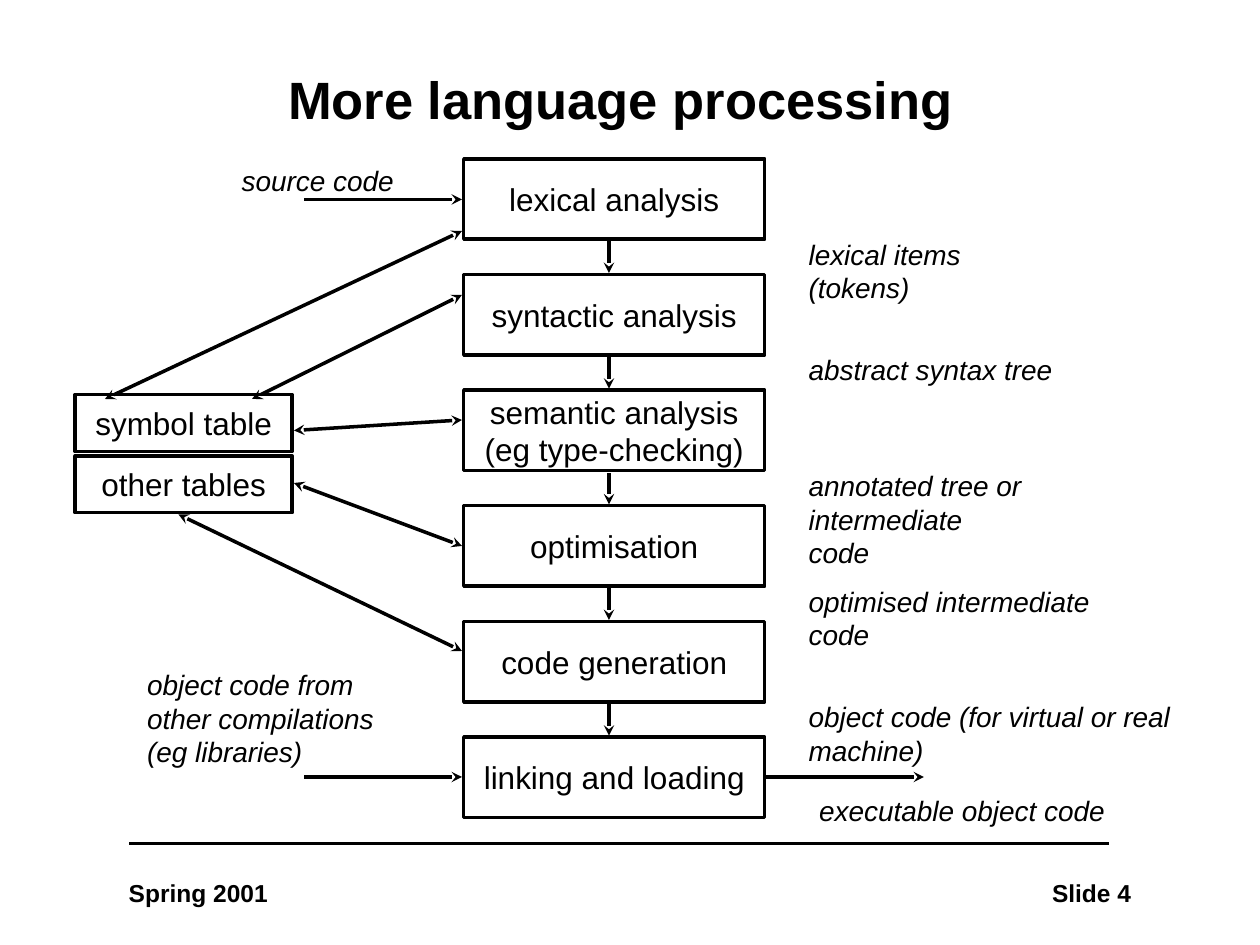
import dataclasses

import pptx
import pptx.dml.color
import pptx.enum.shapes
import pptx.enum.text
import pptx.oxml.ns
import pptx.util
from lxml import etree

Pt = pptx.util.Pt
ALIGN = pptx.enum.text.PP_ALIGN
ANCHOR = pptx.enum.text.MSO_ANCHOR
qn = pptx.oxml.ns.qn


@dataclasses.dataclass(frozen=True)
class Theme:
    face: str = "Arial"
    ink: str = "000000"
    paper: str = "FFFFFF"
    stroke: float = 2
    title: float = 30
    box: float = 18
    note: float = 16
    foot: float = 14


def apply(target, values):
    for name, value in values.items():
        setattr(target, name, value)


class Page:
    def __init__(self, slide, theme):
        self.slide = slide
        self.theme = theme
        self.ink = pptx.dml.color.RGBColor.from_string(theme.ink)
        self.paper = pptx.dml.color.RGBColor.from_string(theme.paper)

    def label(self, shape, text, size, frame=None, para=None, font=None):
        """Fill a shape with text, one paragraph for each line."""
        body = shape.text_frame
        body.text = text
        apply(body, {"word_wrap": False, **(frame or {})})
        for item in body.paragraphs:
            apply(item, para or {})
            apply(item.font, {"name": self.theme.face, "size": Pt(size), **(font or {})})
            item.font.color.rgb = self.ink

    def text(self, text, place, size, **style):
        shape = self.slide.shapes.add_textbox(*map(Pt, place))
        self.label(shape, text, size, **style)

    def note(self, text, left, top, width):
        high = 7.2 + 19.2 * len(text.split("\n"))
        self.text(text, (left, top, width, high), self.theme.note, font={"italic": True})

    def box(self, text, *place):
        kind = pptx.enum.shapes.MSO_SHAPE.RECTANGLE
        shape = self.slide.shapes.add_shape(kind, *map(Pt, place))
        shape.shadow.inherit = False
        shape.fill.solid()
        shape.fill.fore_color.rgb = self.paper
        shape.line.color.rgb = self.ink
        shape.line.width = Pt(self.theme.stroke)
        self.label(shape, text, self.theme.box,
                   frame={"vertical_anchor": ANCHOR.MIDDLE},
                   para={"alignment": ALIGN.CENTER})

    def line(self, *ends, tips=()):
        """Draw a line; tips names its arrowheads, headEnd before tailEnd."""
        kind = pptx.enum.shapes.MSO_CONNECTOR.STRAIGHT
        wire = self.slide.shapes.add_connector(kind, *map(Pt, ends))
        wire.line.color.rgb = self.ink
        wire.line.width = Pt(self.theme.stroke)
        props = wire._element.spPr
        for tip in tips:
            etree.SubElement(props.find(qn("a:ln")), qn("a:" + tip), type="stealth")
        etree.SubElement(props, qn("a:effectLst"))


STEPS = ["lexical analysis", "syntactic analysis",
         "semantic analysis\n(eg type-checking)", "optimisation",
         "code generation", "linking and loading"]
# What passes from each step to the next, with its width
RESULTS = [("lexical items (tokens)", 163), ("abstract syntax tree", 154),
           ("annotated tree or\nintermediate code", 141),
           ("optimised intermediate\ncode", 175),
           ("object code (for virtual or real\nmachine)", 221)]
TABLES = ["symbol table", "other tables"]
NOTES = [("source code", 131, 90, 101.5),
         ("executable object code", 461, 450, 178),
         ("object code from\nother compilations\n(eg libraries)", 77, 378, 144)]
FLOWS = [(174, 114, 264, 114), (174, 444, 264, 444), (438, 444, 528, 444)]
LINKS = [(264, 132, 60, 228), (264, 168.5, 144, 228), (264, 240, 168, 246),
         (264, 312, 168, 276), (264, 372, 102, 294)]
PITCH = 66.1


def main():
    deck = pptx.Presentation()
    apply(deck, {"slide_width": Pt(720), "slide_height": Pt(540)})
    theme = Theme()
    page = Page(deck.slides.add_slide(deck.slide_layouts[6]), theme)

    page.line(74, 482, 634, 482)
    bold = {"bold": True}
    page.text("Slide 4", (533.5, 498, 120, 24), theme.foot,
              para={"alignment": ALIGN.RIGHT}, font=bold)
    page.text("Spring 2001", (66.5, 498, 94, 24), theme.foot, font=bold)
    page.text("More language processing", (78, 24, 553.5, 69), theme.title,
              frame={"vertical_anchor": ANCHOR.MIDDLE, "word_wrap": True},
              para={"alignment": ALIGN.CENTER, "line_spacing": 0.9}, font=bold)

    for row, step in enumerate(STEPS):
        page.box(step, 265, 90.7 + PITCH * row, 172, 46)
    for row, (result, width) in enumerate(RESULTS):
        top = PITCH * row
        page.line(348, 138 + top, 348, 156 + top, tips=["tailEnd"])
        page.note(result, 455, 132 + top, width)
    for row, table in enumerate(TABLES):
        page.box(table, 43, 225.5 + 35 * row, 124, 32.5)

    for note in NOTES:
        page.note(*note)
    for flow in FLOWS:
        page.line(*flow, tips=["tailEnd"])
    for link in LINKS:
        page.line(*link, tips=["headEnd", "tailEnd"])

    deck.save("out.pptx")


if __name__ == "__main__":
    main()
